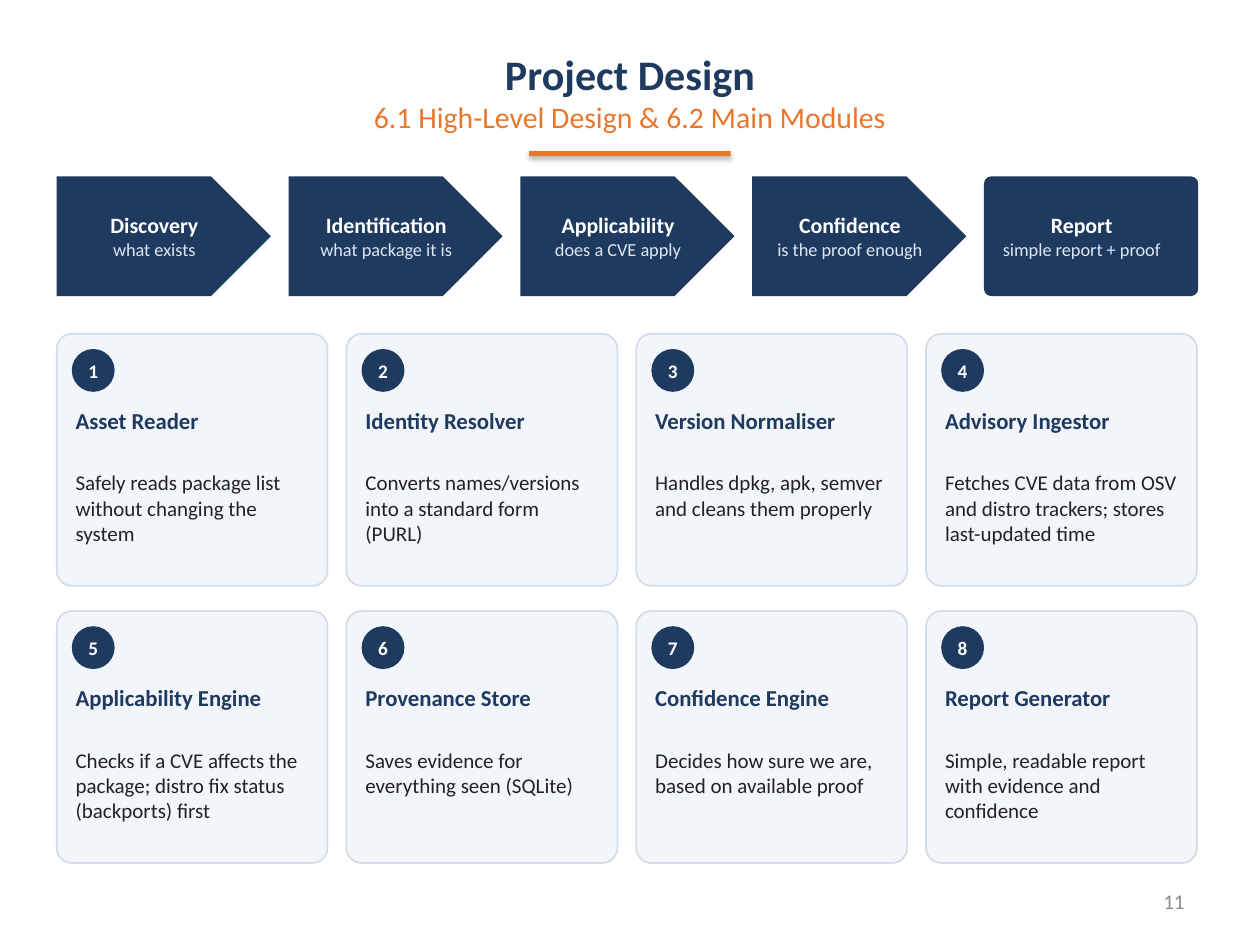
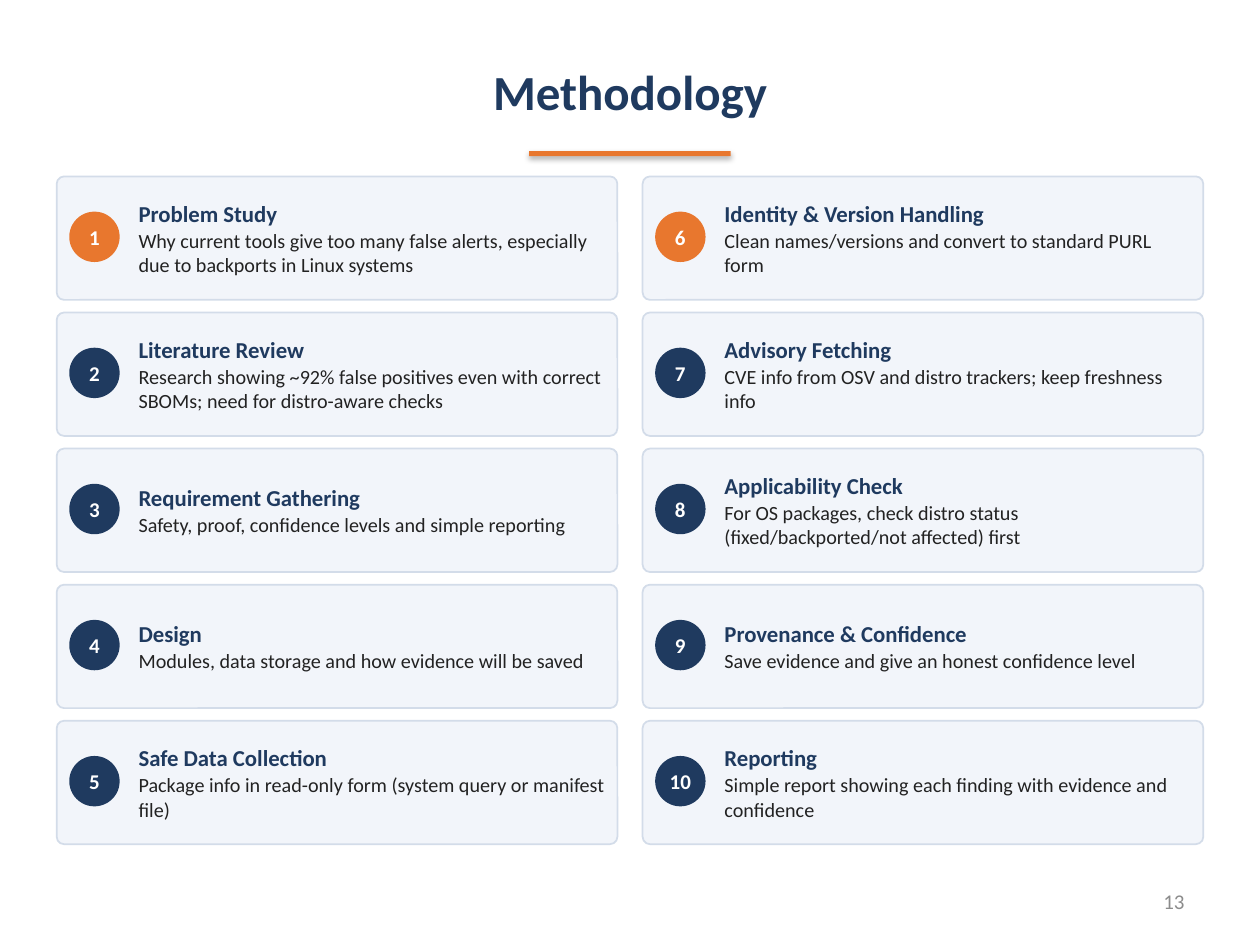
from pptx import Presentation
from pptx.dml.color import RGBColor
from pptx.enum.shapes import MSO_SHAPE
from pptx.enum.text import MSO_ANCHOR, MSO_AUTO_SIZE, PP_ALIGN
from pptx.util import Emu, Pt

EMU_PER_PX = 9144
FONT = "Calibri"
NAVY, ORANGE, WHITE = "1F3A5F", "E8772E", "FFFFFF"
PALE, CARD, BORDER = "DDE6F2", "F2F5FA", "D3DCE9"
INK, GREY = "222222", "8C8C8C"
RECTANGLE, ROUNDED = MSO_SHAPE.RECTANGLE, MSO_SHAPE.ROUNDED_RECTANGLE
ARROW, CIRCLE = MSO_SHAPE.PENTAGON, MSO_SHAPE.OVAL
LEFT, CENTER, RIGHT = PP_ALIGN.LEFT, PP_ALIGN.CENTER, PP_ALIGN.RIGHT
TOP, MIDDLE = MSO_ANCHOR.TOP, MSO_ANCHOR.MIDDLE
FIT_SHAPE, NO_FIT = MSO_AUTO_SIZE.SHAPE_TO_FIT_TEXT, MSO_AUTO_SIZE.NONE
TITLE_ONLY = 5
EDGE, CONTENT_TOP = 45, 140
CORNER = 0.06

STAGES = [
    ("Discovery", "what exists"),
    ("Identification", "what package it is"),
    ("Applicability", "does a CVE apply"),
    ("Confidence", "is the proof enough"),
    ("Report", "simple report + proof"),
]
MODULES = [
    ("Asset Reader", "Safely reads package list without changing the system"),
    ("Identity Resolver", "Converts names/versions into a standard form (PURL)"),
    ("Version Normaliser", "Handles dpkg, apk, semver and cleans them properly"),
    ("Advisory Ingestor", "Fetches CVE data from OSV and distro trackers; stores last-updated time"),
    ("Applicability Engine", "Checks if a CVE affects the package; distro fix status (backports) first"),
    ("Provenance Store", "Saves evidence for everything seen (SQLite)"),
    ("Confidence Engine", "Decides how sure we are, based on available proof"),
    ("Report Generator", "Simple, readable report with evidence and confidence"),
]
STEPS = [
    ("Problem Study",
     "Why current tools give too many false alerts, especially due to backports in Linux systems"),
    ("Literature Review",
     "Research showing ~92% false positives even with correct SBOMs; need for distro-aware checks"),
    ("Requirement Gathering", "Safety, proof, confidence levels and simple reporting"),
    ("Design", "Modules, data storage and how evidence will be saved"),
    ("Safe Data Collection", "Package info in read-only form (system query or manifest file)"),
    ("Identity & Version Handling", "Clean names/versions and convert to standard PURL form"),
    ("Advisory Fetching", "CVE info from OSV and distro trackers; keep freshness info"),
    ("Applicability Check", "For OS packages, check distro status (fixed/backported/not affected) first"),
    ("Provenance & Confidence", "Save evidence and give an honest confidence level"),
    ("Reporting", "Simple report showing each finding with evidence and confidence"),
]


def px(*lengths):
    """Turn px lengths into EMU."""
    return [Emu(length * EMU_PER_PX) for length in lengths]


def color(value):
    """Turn a hex string into a colour."""
    return RGBColor.from_string(value)


def write_lines(frame, lines, align, anchor, margins=None, space_after=None):
    """Write (text, size, colour, bold) lines as the paragraphs of a frame."""
    frame.word_wrap = True
    frame.vertical_anchor = anchor
    if margins:
        (frame.margin_left, frame.margin_top,
         frame.margin_right, frame.margin_bottom) = px(*margins)
    for index, (text, size, hex_color, bold) in enumerate(lines):
        paragraph = frame.add_paragraph() if index else frame.paragraphs[0]
        paragraph.text = text
        paragraph.alignment = align
        if space_after is not None:
            paragraph.space_after = Pt(space_after)
        font = paragraph.font
        font.name, font.size, font.bold = FONT, Pt(size), bold
        font.color.rgb = color(hex_color)


def add_text(slide, box, lines, align=LEFT, anchor=TOP, space_after=None):
    """Add a text box with narrow margins that grows with its text."""
    frame = slide.shapes.add_textbox(*px(*box)).text_frame
    write_lines(frame, lines, align, anchor, (5, 3, 5, 3), space_after)
    frame.auto_size = FIT_SHAPE


def add_block(slide, kind, box, fill, line=None, shadow=False):
    """Add a filled preset shape."""
    shape = slide.shapes.add_shape(kind, *px(*box))
    shape.fill.solid()
    shape.fill.fore_color.rgb = color(fill)
    if line:
        shape.line.color.rgb = color(line)
        shape.line.width = Pt(1)
    else:
        shape.line.fill.background()
    if not shadow:
        shape.shadow.inherit = False
    if kind == ROUNDED:
        shape.adjustments[0] = CORNER
    return shape


def add_badge(slide, left, top, diameter, number, size, fill=NAVY):
    """Add a numbered circle."""
    badge = add_block(slide, CIRCLE, (left, top, diameter, diameter), fill)
    write_lines(badge.text_frame, [(str(number), size, WHITE, True)],
                CENTER, MIDDLE, (0, 0, 0, 0))


def add_page(presentation, title_lines, page_number):
    """Add a slide with its title, accent rule and page number."""
    slide = presentation.slides.add_slide(presentation.slide_layouts[TITLE_ONLY])
    title = slide.shapes.title
    title.left, title.top, title.width, title.height = px(50, 25, 900, 95)
    write_lines(title.text_frame, title_lines, CENTER, MIDDLE)
    title.text_frame.auto_size = NO_FIT
    number_box = slide.shapes.add_textbox(*px(717, 695, 233, 40))
    write_lines(number_box.text_frame, [(str(page_number), 12, GREY, False)], RIGHT, MIDDLE)
    add_block(slide, RECTANGLE, (420, 120, 160, 4), ORANGE, shadow=True)
    return slide


def add_stage(slide, box, kind, name, question):
    """Add one stage of the pipeline."""
    left, top, width, height = box
    add_block(slide, kind, box, NAVY)
    add_text(slide, (left, top, width - 15, height),
             [(name, 12.5, WHITE, True), (question, 10.5, PALE, False)], CENTER, MIDDLE)


def add_module(slide, box, number, name, purpose):
    """Add one module card."""
    left, top, width, _ = box
    add_block(slide, ROUNDED, box, CARD, BORDER)
    add_badge(slide, left + 12, top + 12, 34, number, 11)
    add_text(slide, (left + 10, top + 55, width - 20, 50),
             [(name, 13, NAVY, True)], space_after=3)
    add_text(slide, (left + 10, top + 105, width - 20, 90),
             [(purpose, 12, INK, False)], space_after=3)


def add_step(slide, box, number, badge_fill, name, detail):
    """Add one methodology step card."""
    left, top, width, height = box
    add_block(slide, ROUNDED, box, CARD, BORDER)
    add_badge(slide, left + 10, top + 28, 40, number, 12, badge_fill)
    add_text(slide, (left + 60, top + 4, width - 65, height - 8),
             [(name, 13, NAVY, True), (detail, 11.5, INK, False)],
             anchor=MIDDLE, space_after=1)


def build_design(presentation):
    """Build the project design slide."""
    slide = add_page(presentation, [
        ("Project Design", 24, NAVY, True),
        ("6.1 High-Level Design & 6.2 Main Modules", 17, ORANGE, False),
    ], 11)
    for index, stage in enumerate(STAGES):
        kind = ROUNDED if index == len(STAGES) - 1 else ARROW
        add_stage(slide, (EDGE + index * 184, CONTENT_TOP, 170, 95), kind, *stage)
    for index, module in enumerate(MODULES):
        row, column = divmod(index, 4)
        box = (EDGE + column * 230, 265 + row * 220, 215, 200)
        add_module(slide, box, index + 1, *module)


def build_methodology(presentation):
    """Build the methodology slide."""
    slide = add_page(presentation, [("Methodology", 28, NAVY, True)], 13)
    for index, step in enumerate(STEPS):
        column, row = divmod(index, 5)
        box = (EDGE + column * 465, CONTENT_TOP + row * 108, 445, 98)
        add_step(slide, box, index + 1, NAVY if row else ORANGE, *step)


def main():
    """Build and save the presentation."""
    presentation = Presentation()
    presentation.slide_width, presentation.slide_height = px(1000, 750)
    build_design(presentation)
    build_methodology(presentation)
    presentation.save("out.pptx")


if __name__ == "__main__":
    main()
